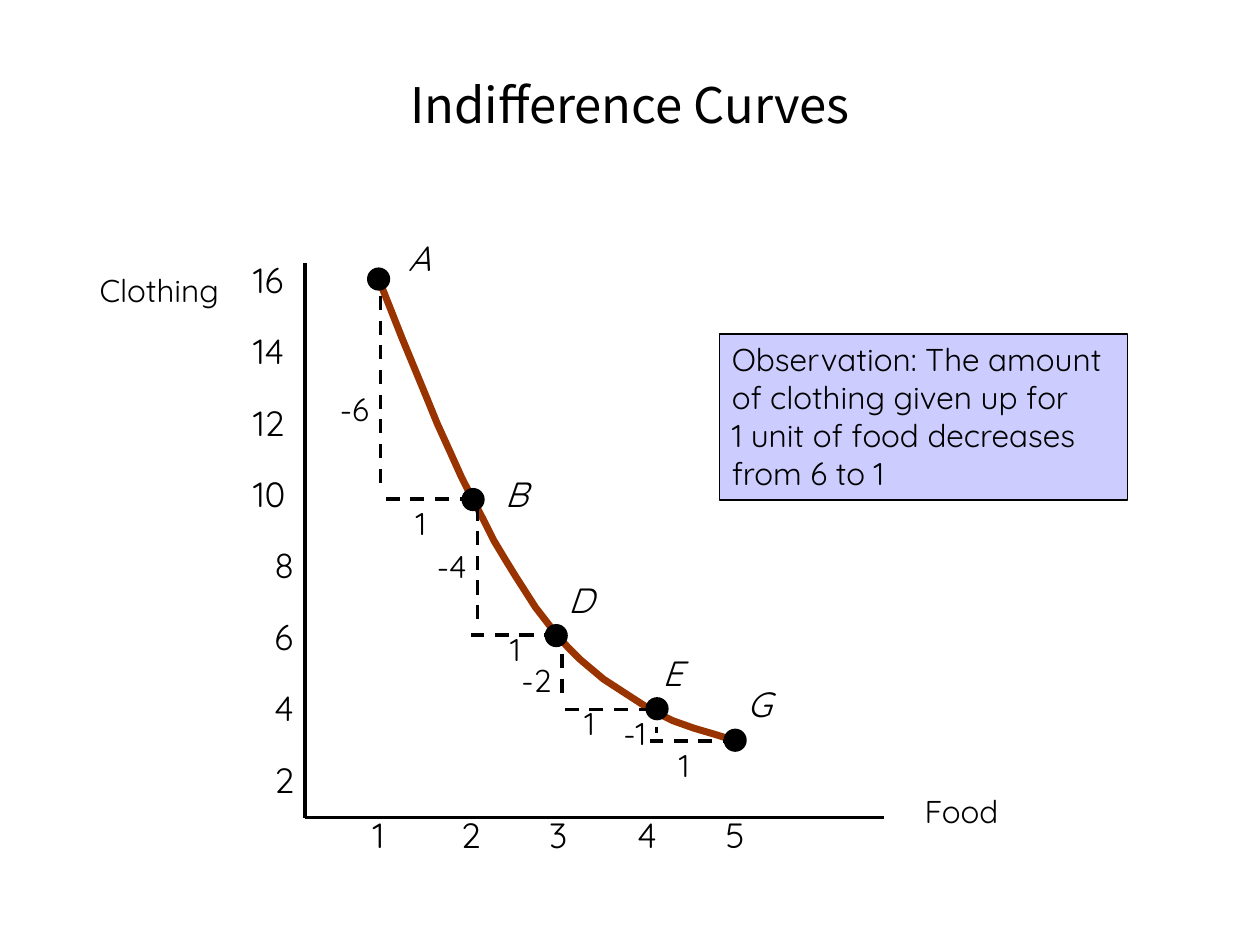
from lxml import etree
from pptx import Presentation
from pptx.dml.color import RGBColor
from pptx.enum.dml import MSO_LINE
from pptx.enum.shapes import MSO_CONNECTOR, MSO_SHAPE
from pptx.enum.text import MSO_ANCHOR, PP_ALIGN
from pptx.oxml.ns import qn
from pptx.util import Pt

PX = 9144  # 100 px to the inch
STRAIGHT = MSO_CONNECTOR.STRAIGHT
DASH = MSO_LINE.DASH
OVAL, RECT = MSO_SHAPE.OVAL, MSO_SHAPE.RECTANGLE
LEFT, CENTER = PP_ALIGN.LEFT, PP_ALIGN.CENTER
TOP, MIDDLE = MSO_ANCHOR.TOP, MSO_ANCHOR.MIDDLE
BODY, HEAD = "Quicksand", "Noto Sans CJK SC"
BLACK, BROWN, LILAC = "000000", "993300", "CCCCFF"
DOT = 17

CURVE = [(58, 11), (77, 59), (96, 105), (105, 127), (115, 149), (124, 169),
         (133, 187), (142, 204), (150, 220), (159, 235), (167, 248),
         (183, 273), (200, 295), (209, 305), (218, 314), (237, 330),
         (257, 343), (274, 354), (292, 363), (309, 369), (326, 374),
         (342, 379)]
# name, dot left and top, label left, top and width
POINTS = [("A", 50, 4, 72, -26, 40), ("B", 125, 179, 149, 161, 36),
          ("D", 191, 287, 199, 245, 39), ("E", 271, 345, 274, 303, 34),
          ("G", 333, 370, 341, 328, 43)]
# drop (x, from, to), run (y, from, to), drop label, its place, run label place
STEPS = [((60, 26, 181), (187, 134, 64), "-6", (18, 96), (78, 186)),
         ((137, 193, 290), (295, 201, 132), "-4", (95, 220), (153, 286)),
         ((204, 310, 348), (354, 276, 203), "-2", (162, 311), (212, 345)),
         ((279, 368, 373), (379, 343, 274), "-1", (243, 353), (287, 378))]
NOTE = ["Observation: The amount", "of clothing given up for",
        "1 unit of food decreases", "from 6 to 1"]


def px(n):
    return round(n * PX)


def tint(code):
    return RGBColor.from_string(code)


def write(shape, lines, size, font=BODY, align=LEFT, italic=False, anchor=TOP):
    frame = shape.text_frame
    frame.word_wrap = True
    frame.vertical_anchor = anchor
    frame.text = "\n".join(lines)
    for para in frame.paragraphs:
        para.alignment = align
        para.font.name = font
        para.font.size = Pt(size)
        para.font.italic = italic
        para.font.color.rgb = tint(BLACK)


def label(slide, text, x, y, w, h, size, **style):
    box = slide.shapes.add_textbox(px(x), px(y), px(w), px(h))
    write(box, [text], size, **style)
    if style.get("align", LEFT) == LEFT:
        box.text_frame.margin_right = 0


def rule(slide, x1, y1, x2, y2, dash=None):
    line = slide.shapes.add_connector(STRAIGHT, px(x1), px(y1), px(x2), px(y2))
    line.line.color.rgb = tint(BLACK)
    line.line.width = Pt(2)
    if dash:
        line.line.dash_style = dash
    etree.SubElement(line._element.spPr, qn("a:effectLst"))


def solid(slide, kind, x, y, w, h, fill):
    shape = slide.shapes.add_shape(kind, px(x), px(y), px(w), px(h))
    shape.shadow.inherit = False
    shape.fill.solid()
    shape.fill.fore_color.rgb = tint(fill)
    shape.line.color.rgb = tint(BLACK)
    shape.line.width = Pt(1)
    return shape


def axes(slide, x, y, w, h):
    rule(slide, x, y, x, y + h)
    rule(slide, x, y + h, x + w, y + h)
    label(slide, "Food", x + w + 22, y + h - 25, 80, 40, 18)
    label(slide, "Clothing", x - 176, y + 1, 121, 40, 18, align=CENTER)
    for i in range(5):
        label(slide, str(i + 1), x + 44 + 70 * i, y + h - 8, 35, 43, 20)
    for i in range(8):
        value = 16 - 2 * i
        shift, wide = (51, 51) if value > 9 else (34, 35)
        label(slide, str(value), x - shift, y - 9 + 56.7 * i, wide, 43, 20)


def curve(slide, x, y):
    """Draw the curve, its steps and its named points from the axes' top left."""
    spots = [(px(x + a), px(y + b)) for a, b in CURVE]
    build = slide.shapes.build_freeform(*spots[0])
    build.add_line_segments(spots[1:], close=False)
    path = build.convert_to_shape()
    path.shadow.inherit = False
    path.fill.background()
    path.line.color.rgb = tint(BROWN)
    path.line.width = Pt(4)

    for drop, run, text, (dx, dy), (rx, ry) in STEPS:
        rule(slide, x + drop[0], y + drop[1], x + drop[0], y + drop[2], DASH)
        rule(slide, x + run[1], y + run[0], x + run[2], y + run[0], DASH)
        label(slide, text, x + dx, y + dy, 44, 40, 18)
        label(slide, "1", x + rx, y + ry, 34, 40, 18)

    for name, dx, dy, lx, ly, wide in POINTS:
        solid(slide, OVAL, x + dx, y + dy, DOT, DOT, BLACK)
        label(slide, name, x + lx, y + ly, wide, 43, 20, italic=True)


def note(slide, x, y, w, h):
    write(solid(slide, RECT, x, y, w, h, LILAC), NOTE, 18)


def main():
    deck = Presentation()
    deck.slide_width, deck.slide_height = px(1000), px(750)
    slide = deck.slides.add_slide(deck.slide_layouts[6])
    label(slide, "Indifference Curves", 50, 30, 900, 105, 28,
          font=HEAD, align=CENTER, anchor=MIDDLE)
    axes(slide, 242, 209, 460, 440)
    curve(slide, 242, 209)
    note(slide, 571, 265, 324, 132)
    deck.save("out.pptx")


if __name__ == "__main__":
    main()
